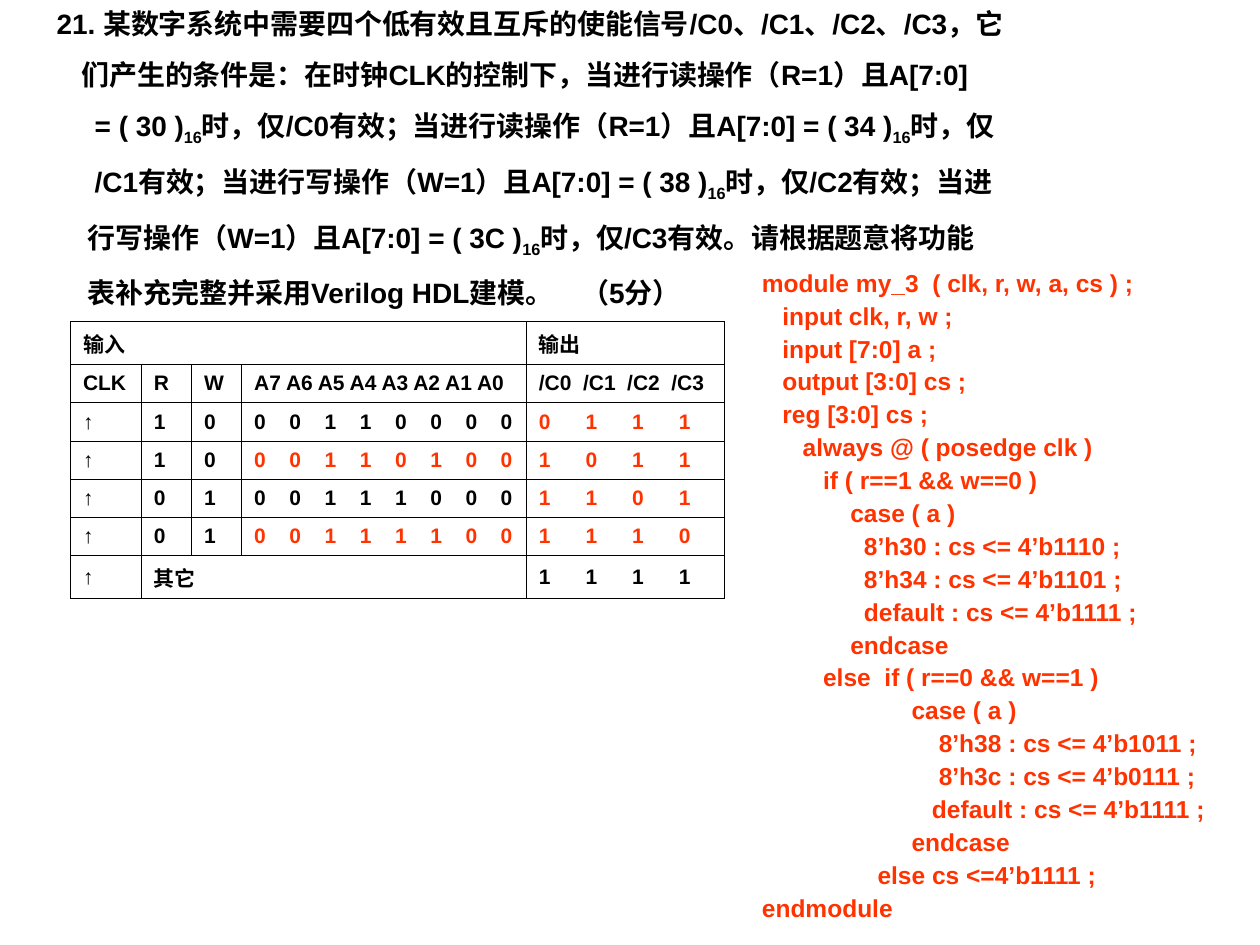
from lxml.etree import SubElement
from pptx import Presentation
from pptx.dml.color import RGBColor
from pptx.enum.text import MSO_ANCHOR, MSO_AUTO_SIZE, PP_ALIGN
from pptx.oxml import parse_xml
from pptx.oxml.ns import nsdecls, qn
from pptx.util import Cm, Pt

BLACK, RED = "000000", "FF3300"

# Left indent in cm and text; the parts between bars are subscripts
QUESTION = [
    (0, "21. 某数字系统中需要四个低有效且互斥的使能信号/C0、/C1、/C2、/C3，它"),
    (0.5, "们产生的条件是：在时钟CLK的控制下，当进行读操作（R=1）且A[7:0]"),
    (0.77, "= ( 30 )|16|时，仅/C0有效；当进行读操作（R=1）且A[7:0] = ( 34 )|16|时，仅"),
    (0.77, "/C1有效；当进行写操作（W=1）且A[7:0] = ( 38 )|16|时，仅/C2有效；当进"),
    (0.63, "行写操作（W=1）且A[7:0] = ( 3C )|16|时，仅/C3有效。请根据题意将功能"),
    (0.63, "表补充完整并采用Verilog HDL建模。　（5分）"),
]

CODE = """module my_3  ( clk, r, w, a, cs ) ;
   input clk, r, w ;
   input [7:0] a ;
   output [3:0] cs ;
   reg [3:0] cs ;
      always @ ( posedge clk )
         if ( r==1 && w==0 )
             case ( a )
               8’h30 : cs <= 4’b1110 ;
               8’h34 : cs <= 4’b1101 ;
               default : cs <= 4’b1111 ;
             endcase
         else  if ( r==0 && w==1 )
                      case ( a )
                          8’h38 : cs <= 4’b1011 ;
                          8’h3c : cs <= 4’b0111 ;
                         default : cs <= 4’b1111 ;
                      endcase
                 else cs <=4’b1111 ;
endmodule"""

# Function table: CLK, R, W, address bits, chip selects
COL_WIDTHS = [1.43, 1.01, 1.01, 5.74, 3.99]
ROW_HEIGHT = 0.77
ADDRESS, SELECT = 3, 4
ROWS = [
    ["输入", "", "", "", "输出"],
    ["CLK", "R", "W", "A7 A6 A5 A4 A3 A2 A1 A0", "/C0 /C1 /C2 /C3"],
    ["↑", "1", "0", "00110000", "0111"],
    ["↑", "1", "0", "00110100", "1011"],
    ["↑", "0", "1", "00111000", "1101"],
    ["↑", "0", "1", "00111100", "1110"],
    ["↑", "其它", "", "", "1111"],
]
MERGES = [((0, 0), (0, 3)), ((6, 1), (6, 3))]
ANSWERS = {(2, SELECT), (3, ADDRESS), (3, SELECT), (4, SELECT), (5, ADDRESS), (5, SELECT)}


def rgb(value):
    return RGBColor.from_string(value)


def add_run(p, text, size, color=BLACK):
    r = p.add_run()
    r.text = text
    for name, value in {"name": "Arial", "size": Pt(size), "bold": True}.items():
        setattr(r.font, name, value)
    r.font.color.rgb = rgb(color)
    return r


def set_frame(tf, wrap=True):
    values = {"word_wrap": wrap, "auto_size": MSO_AUTO_SIZE.NONE,
              "vertical_anchor": MSO_ANCHOR.TOP,
              "margin_left": Cm(0.25), "margin_right": Cm(0.25),
              "margin_top": Cm(0.13), "margin_bottom": Cm(0.13)}
    for name, value in values.items():
        setattr(tf, name, value)


def add_paragraphs(tf, count, before):
    for i in range(count):
        p = tf.add_paragraph() if i else tf.paragraphs[0]
        p.space_before = Pt(before if i else 0)
        yield p


def add_tabs(p, step, count):
    tabs = SubElement(p._p.get_or_add_pPr(), qn("a:tabLst"))
    for i in range(1, count):
        SubElement(tabs, qn("a:tab"), pos=str(Cm(step * i)), algn="l")


def set_borders(cell, color, width):
    tcPr = cell._tc.get_or_add_tcPr()
    for i, side in enumerate(("lnL", "lnR", "lnT", "lnB")):
        tcPr.insert(i, parse_xml(
            f'<a:{side} {nsdecls("a")} w="{Pt(width)}"><a:solidFill>'
            f'<a:srgbClr val="{color}"/></a:solidFill></a:{side}>'))


def add_question(s):
    sp = s.shapes.title
    sp.left, sp.top, sp.width, sp.height = Cm(0.89), Cm(0), Cm(22.33), Cm(6.38)
    tf = sp.text_frame
    set_frame(tf)
    for p, (indent, line) in zip(add_paragraphs(tf, len(QUESTION), 10), QUESTION):
        p.alignment = PP_ALIGN.JUSTIFY
        pPr = p._p.get_or_add_pPr()
        pPr.set("marL", str(Cm(indent)))
        pPr.set("indent", "0")
        for i, part in enumerate(line.split("|")):
            r = add_run(p, part, 16)
            if i % 2:
                r.font._element.set("baseline", "-25000")


def fill_cell(cell, row, col, text):
    cell.fill.background()
    set_borders(cell, BLACK, 0.45)
    cell.vertical_anchor = MSO_ANCHOR.MIDDLE
    if not text:
        return
    p = cell.text_frame.paragraphs[0]
    # Bits and select names are spread over tab stops
    if row > 0 and col == SELECT:
        parts = text.split() if row == 1 else list(text)
        add_tabs(p, 0.89 if row == 1 else 0.94, len(parts))
        text = "\t".join(parts)
    elif row > 1 and col == ADDRESS:
        add_tabs(p, 0.71, len(text))
        text = "\t".join(text)
    add_run(p, text, 12, RED if (row, col) in ANSWERS else BLACK)


def add_function_table(s):
    table = s.shapes.add_table(len(ROWS), len(COL_WIDTHS), Cm(1.42), Cm(6.48),
                               Cm(sum(COL_WIDTHS)), Cm(ROW_HEIGHT * len(ROWS))).table
    table.first_row = table.horz_banding = False
    for column, width in zip(table.columns, COL_WIDTHS):
        column.width = Cm(width)
    for row in table.rows:
        row.height = Cm(ROW_HEIGHT)
    for start, end in MERGES:
        table.cell(*start).merge(table.cell(*end))
    for i, row in enumerate(ROWS):
        for j, text in enumerate(row):
            fill_cell(table.cell(i, j), i, j, text)


def add_code(s):
    tf = s.shapes.add_textbox(Cm(15.11), Cm(5.51), Cm(9.5), Cm(13.51)).text_frame
    set_frame(tf, wrap=False)
    lines = CODE.split("\n")
    for p, line in zip(add_paragraphs(tf, len(lines), 8.8), lines):
        p.line_spacing = Pt(10)
        add_run(p, line, 14, RED)


def main():
    prs = Presentation()
    prs.slide_width, prs.slide_height = Cm(25.4), Cm(19.05)
    s = prs.slides.add_slide(prs.slide_layouts[5])
    add_question(s)
    add_function_table(s)
    add_code(s)
    prs.save("out.pptx")


if __name__ == "__main__":
    main()
